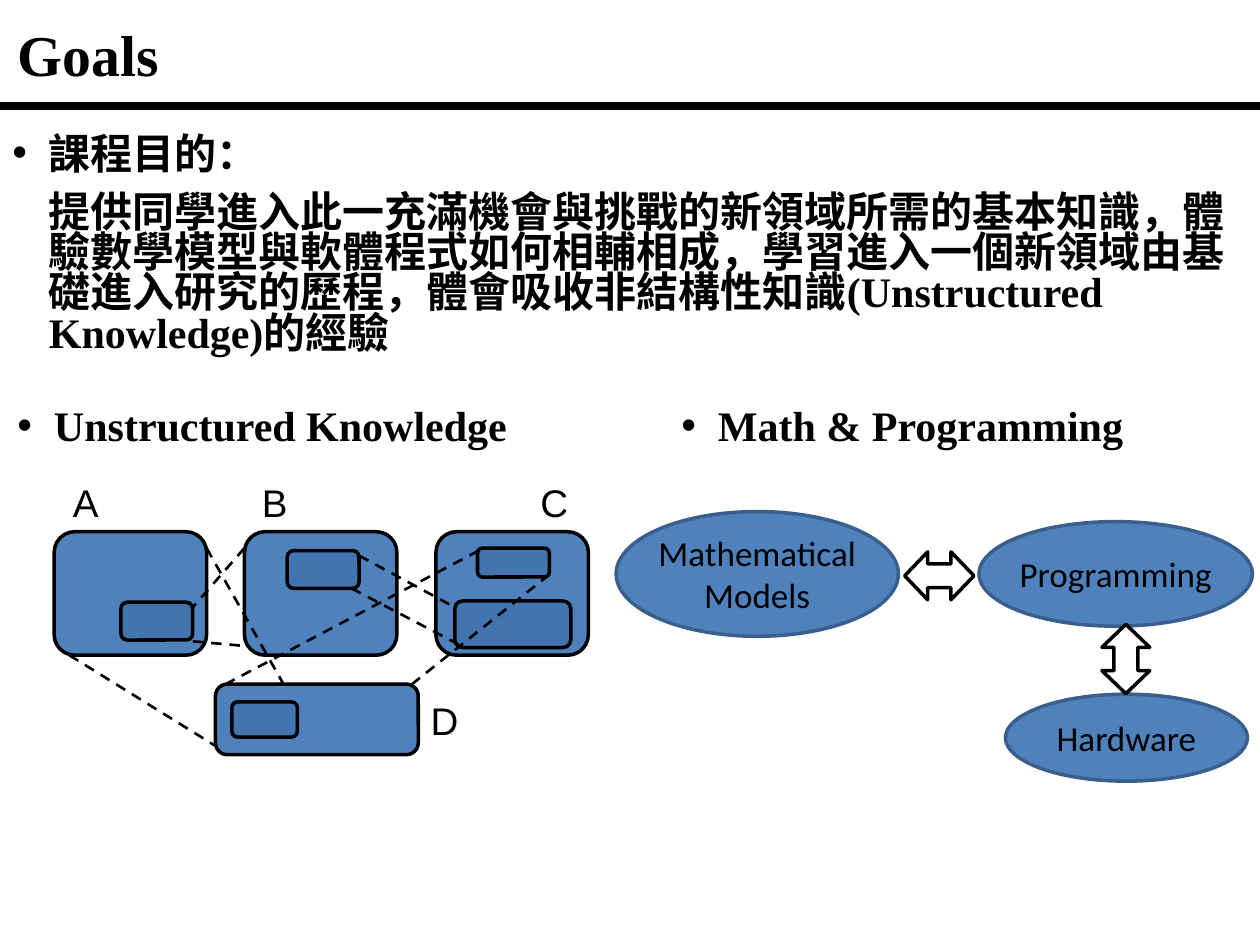
"""Build the course goals slide with its two concept diagrams."""
from dataclasses import dataclass

from lxml.etree import SubElement
from pptx import Presentation
from pptx.dml.color import RGBColor
from pptx.enum.dml import MSO_LINE
from pptx.enum.shapes import MSO_CONNECTOR, MSO_SHAPE
from pptx.enum.text import MSO_ANCHOR, PP_ALIGN
from pptx.oxml.ns import qn
from pptx.util import Emu, Pt


@dataclass(frozen=True)
class Theme:
    ink: RGBColor = RGBColor(0, 0, 0)
    paper: RGBColor = RGBColor(255, 255, 255)
    blue: RGBColor = RGBColor(0x4F, 0x81, 0xBD)
    inner_blue: RGBColor = RGBColor(0x42, 0x74, 0xAF)
    edge_blue: RGBColor = RGBColor(0x3A, 0x5F, 0x8C)
    serif: str = "Times New Roman"
    sans: str = "Arial"
    label: str = "Calibri"
    title_size: int = 33
    body_size: int = 24
    letter_size: int = 22
    label_size: int = 20


theme = Theme()
PX = 9144
INDENT = 29 * PX


def draw(shapes, kind, box, fill, edge):
    shape = shapes.add_shape(kind, *[Emu(n * PX) for n in box])
    shape.shadow.inherit = False
    shape.fill.solid()
    shape.fill.fore_color.rgb = fill
    shape.line.color.rgb = edge
    shape.line.width = Pt(2)
    return shape


def write(frame, text, size, font, bold=False):
    frame.text = text
    for paragraph in frame.paragraphs:
        for run in paragraph.runs:
            run.font.size = Pt(size)
            run.font.name = font
            run.font.bold = bold
            run.font.color.rgb = theme.ink


presentation = Presentation()
presentation.slide_width = Emu(1000 * PX)
presentation.slide_height = Emu(750 * PX)
slide = presentation.slides.add_slide(presentation.slide_layouts[6])

title = slide.shapes.add_textbox(*[Emu(n * PX) for n in (4, 13, 900, 69)]).text_frame
title.word_wrap = True
title.vertical_anchor = MSO_ANCHOR.MIDDLE
write(title, "Goals", theme.title_size, theme.serif, True)
title.paragraphs[0].line_spacing = 0.8

purpose = (
    "課程目的：\n"
    "提供同學進入此一充滿機會與挑戰的新領域所需的基本知識，"
    "體驗數學模型與軟體程式如何相輔相成，"
    "學習進入一個新領域由基礎進入研究的歷程，"
    "體會吸收非結構性知識(Unstructured Knowledge)的經驗"
)
for box, text in (
    ((0, 104, 1000, 186), purpose),
    ((4, 320, 417, 42), "Unstructured Knowledge"),
    ((531, 320, 374, 42), "Math & Programming"),
):
    topic = slide.shapes.add_textbox(*[Emu(n * PX) for n in box]).text_frame
    topic.word_wrap = True
    write(topic, text, theme.body_size, theme.serif, True)
    for position, paragraph in enumerate(topic.paragraphs):
        paragraph.line_spacing = 0.8
        properties = paragraph._p.get_or_add_pPr()
        properties.set("marL", str(INDENT))
        if position == 0:
            properties.set("indent", str(-INDENT))
            SubElement(properties, qn("a:buFont"), typeface=theme.sans)
            SubElement(properties, qn("a:buChar"), char="•")
        else:
            properties.set("indent", "0")
            paragraph.space_before = Pt(10)

knowledge = slide.shapes.add_group_shape().shapes
for outer, inners in (
    ((43, 422, 121, 98), [(96, 478, 57, 30)]),
    ((194, 422, 121, 98), [(228, 437, 57, 30)]),
    ((346, 422, 121, 98), [(361, 477, 92, 37), (379, 435, 57, 23)]),
    ((171, 543, 161, 56), [(184, 557, 52, 28)]),
):
    draw(knowledge, MSO_SHAPE.ROUNDED_RECTANGLE, outer, theme.blue, theme.ink)
    for inner in inners:
        draw(knowledge, MSO_SHAPE.ROUNDED_RECTANGLE, inner, theme.inner_blue, theme.ink)

rule = [(slide.shapes, (0, 84, 1000, 84), 4.5, None)]
links = [
    (knowledge, ends, 1.5, MSO_LINE.DASH)
    for ends in (
        (164, 435, 225, 543),
        (55, 520, 171, 592),
        (285, 441, 361, 482),
        (279, 467, 365, 512),
        (380, 437, 179, 543),
        (436, 456, 327, 543),
        (194, 435, 153, 482),
        (153, 509, 198, 513),
    )
]
for shapes, ends, weight, dash in rule + links:
    line = shapes.add_connector(MSO_CONNECTOR.STRAIGHT, *[Emu(n * PX) for n in ends])
    line.line.color.rgb = theme.ink
    line.line.width = Pt(weight)
    line.line.dash_style = dash
    SubElement(line._element.spPr, qn("a:effectLst"))

for letter, left, top in (("A", 48, 375), ("B", 198, 375), ("C", 419, 375), ("D", 332, 548)):
    caption = knowledge.add_textbox(*[Emu(n * PX) for n in (left, top, 34, 38)]).text_frame
    caption.word_wrap = False
    write(caption, letter, theme.letter_size, theme.sans)

programming = slide.shapes.add_group_shape().shapes
for text, box in (
    ("Mathematical\nModels", (489, 406, 224, 99)),
    ("Programming", (777, 414, 217, 83)),
    ("Hardware", (798, 551, 192, 69)),
):
    concept = draw(programming, MSO_SHAPE.OVAL, box, theme.blue, theme.edge_blue).text_frame
    concept.margin_left = concept.margin_right = 0
    concept.margin_top = concept.margin_bottom = 0
    concept.vertical_anchor = MSO_ANCHOR.MIDDLE
    write(concept, text, theme.label_size, theme.label)
    for paragraph in concept.paragraphs:
        paragraph.alignment = PP_ALIGN.CENTER

for left, top, turn in ((718, 438, 0), (866, 504, 90)):
    arrow = draw(programming, MSO_SHAPE.LEFT_RIGHT_ARROW, (left, top, 55, 38), theme.paper, theme.ink)
    arrow.adjustments[0] = 0.5
    arrow.adjustments[1] = 0.48
    arrow.rotation = turn

presentation.save("out.pptx")
